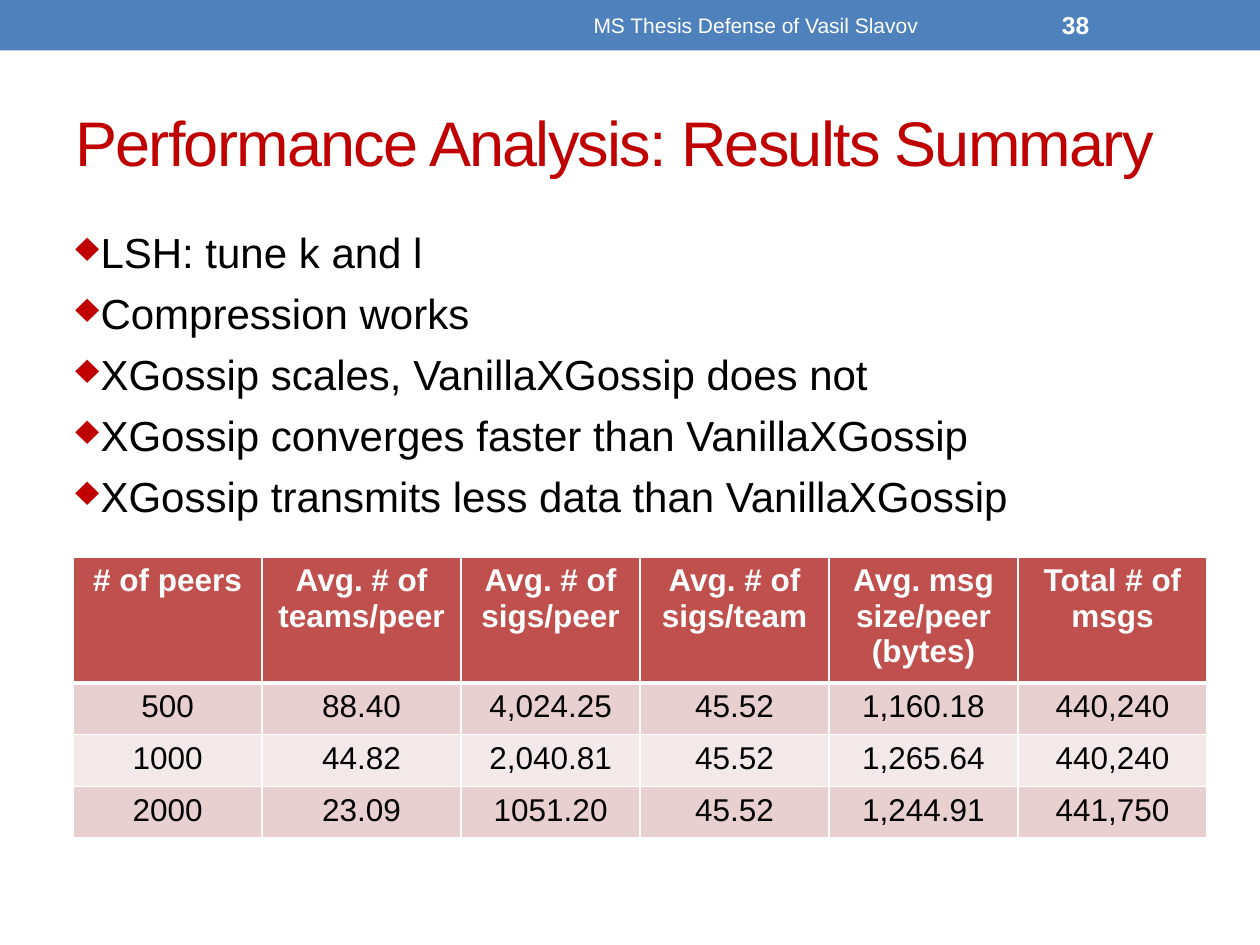
from lxml.etree import SubElement
from pptx import Presentation
from pptx.dml.color import RGBColor
from pptx.enum.shapes import MSO_SHAPE
from pptx.enum.text import MSO_ANCHOR, PP_ALIGN
from pptx.oxml.ns import qn
from pptx.util import Inches, Pt

COLORS = {
    "banner": "4F81BD", "accent": "C00000", "text": "000000", "white": "FFFFFF",
    "header": "C0504D", "odd_row": "E8D0D0", "even_row": "F4E9E9",
}
FINDINGS = [
    "LSH: tune k and l",
    "Compression works",
    "XGossip scales, VanillaXGossip does not",
    "XGossip converges faster than VanillaXGossip",
    "XGossip transmits less data than VanillaXGossip",
]
RESULTS = [
    ["# of peers", "Avg. # of teams/peer", "Avg. # of sigs/peer",
     "Avg. # of sigs/team", "Avg. msg size/peer (bytes)", "Total # of msgs"],
    ["500", "88.40", "4,024.25", "45.52", "1,160.18", "440,240"],
    ["1000", "44.82", "2,040.81", "45.52", "1,265.64", "440,240"],
    ["2000", "23.09", "1051.20", "45.52", "1,244.91", "441,750"],
]
COLUMN_WIDTHS = [1.5, 1.58, 1.42, 1.5, 1.5, 1.5]
ROW_HEIGHTS = [0.93, 0.41, 0.41, 0.41]


def color(name):
    return RGBColor.from_string(COLORS[name])


def style(para, size, color_name, bold=False, align=PP_ALIGN.LEFT):
    para.alignment = align
    para.font.name = "Arial"
    para.font.size = Pt(size)
    para.font.bold = bold
    para.font.color.rgb = color(color_name)


def add_text(page, box, lines, anchor=MSO_ANCHOR.MIDDLE, **look):
    """Add a text box with one paragraph per line and return its paragraphs."""
    frame = page.shapes.add_textbox(*map(Inches, box)).text_frame
    frame.word_wrap = True
    frame.vertical_anchor = anchor
    frame.text = "\n".join(lines)
    for para in frame.paragraphs:
        style(para, **look)
    return frame.paragraphs


def add_banner(page, box):
    left, top, width, height = box
    bar = page.shapes.add_shape(MSO_SHAPE.RECTANGLE, *map(Inches, box))
    bar.shadow.inherit = False
    bar.fill.solid()
    bar.fill.fore_color.rgb = color("banner")
    bar.line.fill.background()
    text_top, text_height = top + 0.02, height - 0.04
    add_text(page, (left + 3.75, text_top, 4.5, text_height),
             ["MS Thesis Defense of Vasil Slavov"],
             size=12, color_name="white", align=PP_ALIGN.CENTER)
    add_text(page, (left + 8.33, text_top, 1.17, text_height), ["38"],
             size=14, color_name="white", bold=True)


def add_title(page, box):
    para = add_text(page, box, ["Performance Analysis: Results Summary"],
                    size=36, color_name="accent")[0]
    para.runs[0].font._element.set("spc", "-100")


def add_findings(page, box):
    for para in add_text(page, box, FINDINGS, MSO_ANCHOR.TOP,
                         size=24, color_name="text"):
        para.space_before = Pt(6)
        properties = para._p.get_or_add_pPr()
        properties.set("marL", str(Inches(0.2)))
        properties.set("indent", str(Inches(-0.2)))
        bullet_color = SubElement(properties, qn("a:buClr"))
        SubElement(bullet_color, qn("a:srgbClr"), val=COLORS["accent"])
        SubElement(properties, qn("a:buChar"), char="♦")
        # The schema wants the default run properties after the bullet.
        properties.append(properties.find(qn("a:defRPr")))


def set_borders(cell, bottom_width):
    properties = cell._tc.get_or_add_tcPr()
    widths = {"a:lnL": 1, "a:lnR": 1, "a:lnT": 1, "a:lnB": bottom_width}
    for position, (side, width) in enumerate(widths.items()):
        line = SubElement(properties, qn(side), w=str(Pt(width)))
        fill = SubElement(line, qn("a:solidFill"))
        SubElement(fill, qn("a:srgbClr"), val=COLORS["white"])
        properties.insert(position, line)


def add_results(page, box):
    table = page.shapes.add_table(len(RESULTS), len(COLUMN_WIDTHS),
                                  *map(Inches, box)).table
    for column, width in zip(table.columns, COLUMN_WIDTHS):
        column.width = Inches(width)
    for index, (row, height) in enumerate(zip(table.rows, ROW_HEIGHTS)):
        row.height = Inches(height)
        is_header = index == 0
        fill = "header" if is_header else "odd_row" if index % 2 else "even_row"
        for cell, value in zip(row.cells, RESULTS[index]):
            cell.text = value
            style(cell.text_frame.paragraphs[0], 18,
                  "white" if is_header else "text", is_header, PP_ALIGN.CENTER)
            cell.fill.solid()
            cell.fill.fore_color.rgb = color(fill)
            set_borders(cell, 3 if is_header else 1)


def main():
    deck = Presentation()
    deck.slide_width, deck.slide_height = Inches(10), Inches(7.5)
    page = deck.slides.add_slide(deck.slide_layouts[6])
    add_banner(page, (0, 0, 10, 0.4))
    add_title(page, (0.5, 0.58, 9, 1.08))
    add_findings(page, (0.5, 1.75, 9, 5.33))
    add_results(page, (0.58, 4.42, sum(COLUMN_WIDTHS), sum(ROW_HEIGHTS)))
    deck.save("out.pptx")


if __name__ == "__main__":
    main()
